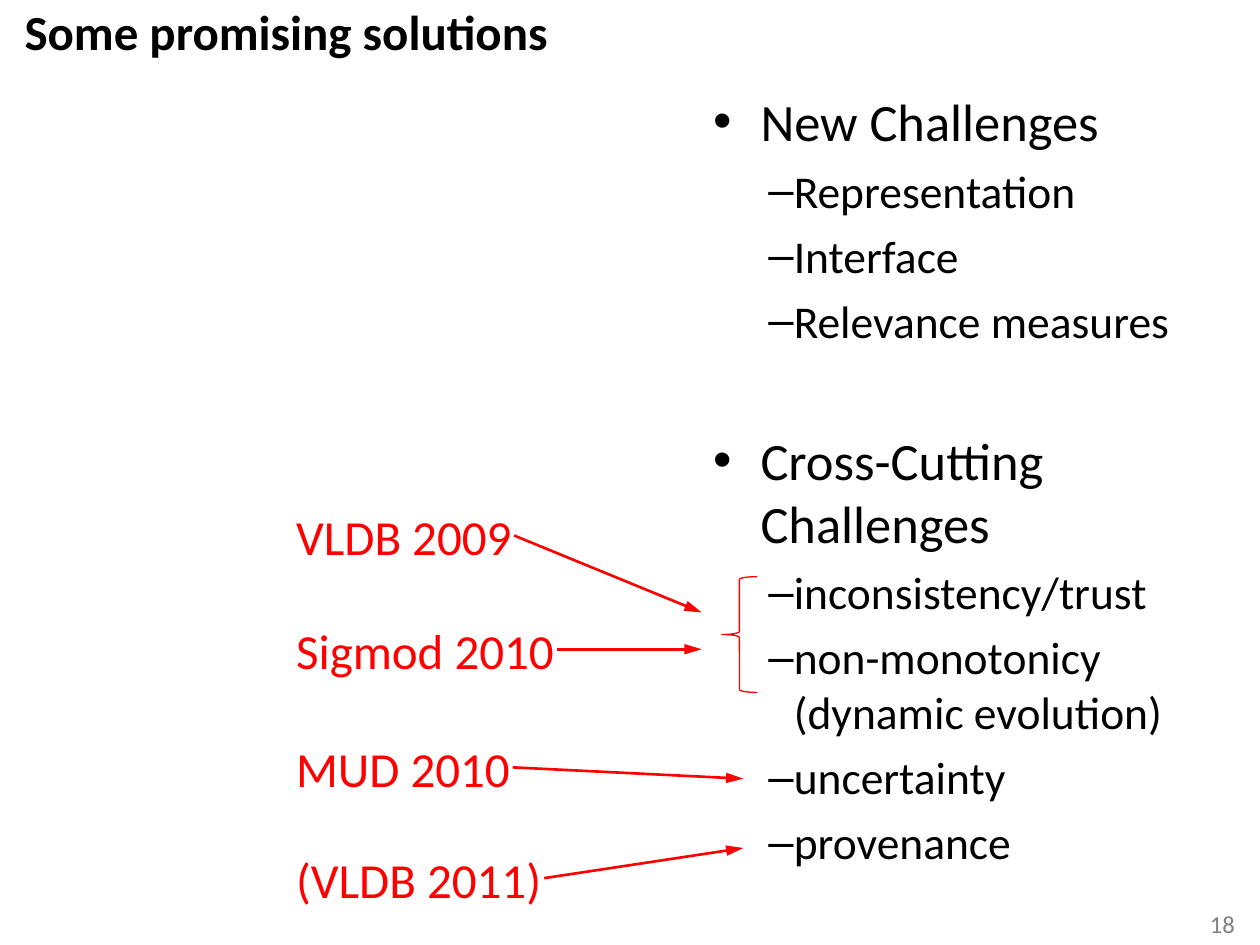
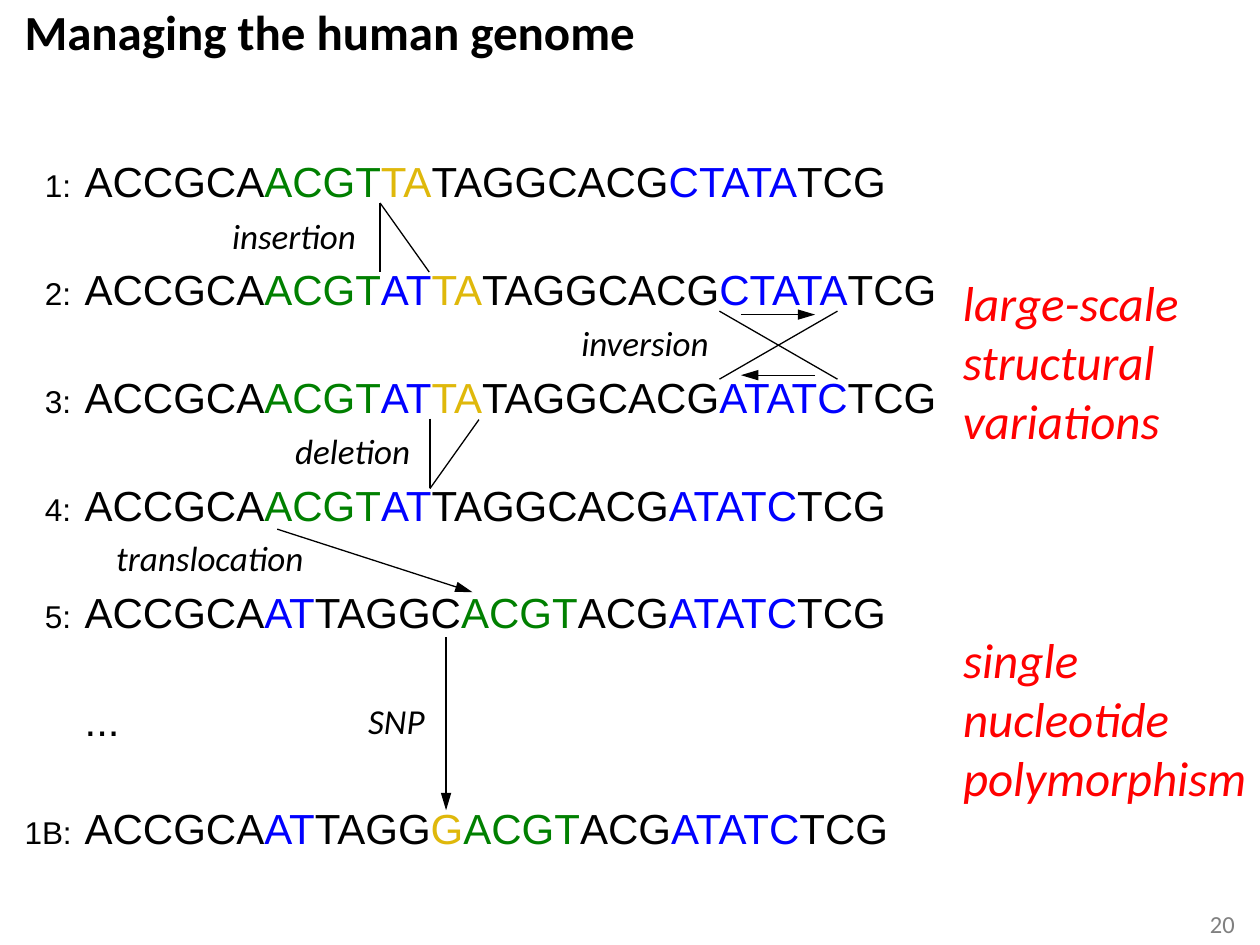
import pptx
import pptx.dml.color
import pptx.enum.shapes
import pptx.enum.text
import pptx.oxml.ns
import pptx.util
from lxml import etree

Pt = pptx.util.Pt
RGBColor = pptx.dml.color.RGBColor
PP_ALIGN = pptx.enum.text.PP_ALIGN
MSO_SHAPE = pptx.enum.shapes.MSO_SHAPE
qualified_name = pptx.oxml.ns.qn

BLACK = RGBColor(0x00, 0x00, 0x00)
WHITE = RGBColor(0xFF, 0xFF, 0xFF)
RED = RGBColor(0xFF, 0x00, 0x00)
GREEN = RGBColor(0x00, 0x80, 0x00)
BLUE = RGBColor(0x00, 0x00, 0xFF)
GOLD = RGBColor(0xDF, 0xB8, 0x0B)
GRAY = RGBColor(0x80, 0x80, 0x80)

TITLE_FONT = {"name": "Calibri", "size": Pt(28), "bold": True}
NUMBER_FONT = {"name": "Calibri", "size": Pt(14)}
VENUE_FONT = {"name": "Calibri", "size": Pt(28)}
CATEGORY_FONT = {"name": "Calibri", "size": Pt(28), "italic": True}
MUTATION_FONT = {"name": "Calibri", "size": Pt(20), "italic": True}
SEQUENCE_FONT = {"name": "Arial", "size": Pt(24)}
LABEL_FONT = {"name": "Arial", "size": Pt(18)}
TIGHT_FRAME = {
    "margin_left": 0, "margin_top": 0, "margin_right": 0, "margin_bottom": 0,
    "word_wrap": False,
    "auto_size": pptx.enum.text.MSO_AUTO_SIZE.NONE,
    "vertical_anchor": pptx.enum.text.MSO_ANCHOR.TOP,
}
LABEL_FRAME = {**TIGHT_FRAME, "margin_top": Pt(0.7)}

BULLET_LEVELS = {
    0: {"symbol": "•", "size": 30, "margin": 27, "hanging": 27},
    1: {"symbol": "–", "size": 26, "margin": 46, "hanging": 14.5},
}
CHALLENGES = [
    ("New Challenges", ["Representation", "Interface", "Relevance measures"]),
    ("Cross-Cutting Challenges", [
        "inconsistency/trust", "non-monotonicy (dynamic evolution)",
        "uncertainty", "provenance"]),
]
CHALLENGE_GAP = 40

VENUE_LEFT = 169.2
VENUES = [
    ("VLDB 2009", 288.7, 124.6, (293.8, 306), (401, 350)),
    ("Sigmod 2010", 353.7, 149, (318.2, 371), (401, 371)),
    ("MUD 2010", 421, 123.8, (293, 438.5), (424.8, 445)),
    ("(VLDB 2011)", 484.6, 141.8, (311, 501.8), (424.8, 484.6)),
]

ROW_TOP = 88.3
ROW_PITCH = 61.6
SEQUENCE_LEFT = 48.4
LABEL_RIGHT = 41.4
LABEL_DROP = 6

START = ("ACCGCA", BLACK)
MOVED = ("ACGT", GREEN)
INSERTED = ("AT", BLUE)
DELETED = ("TA", GOLD)
MIDDLE = ("TAGGCACG", BLACK)
FORWARD = ("CTATA", BLUE)
REVERSED = ("ATATC", BLUE)
END = ("TCG", BLACK)
SEQUENCES = [
    ("1:", 460, [START, MOVED, DELETED, MIDDLE, FORWARD, END]),
    ("2:", 487.4, [START, MOVED, INSERTED, DELETED, MIDDLE, FORWARD, END]),
    ("3:", 489.6, [START, MOVED, INSERTED, DELETED, MIDDLE, REVERSED, END]),
    ("4:", 461.5, [START, MOVED, INSERTED, MIDDLE, REVERSED, END]),
    ("5:", 461.5, [START, INSERTED, ("TAGGC", BLACK), MOVED, ("ACG", BLACK),
                   REVERSED, END]),
    ("", 20.9, [("...", BLACK)]),
    ("1B:", 463, [START, INSERTED, ("TAGG", BLACK), ("G", GOLD), MOVED,
                  ("ACG", BLACK), REVERSED, END]),
]
LABEL_WIDTHS = {2: 15.8, 3: 27.4}
MUTATIONS = [
    ("insertion", 132.6, 121.7, 77),
    ("inversion", 332.2, 183, 79.2),
    ("deletion", 168.7, 244.8, 71.3),
    ("translocation", 66.4, 306, 113),
    ("SNP", 210.4, 398.9, 38.2),
]
MUTATION_LINES = [
    ((217.2, 116), (217.2, 155.5)),
    ((217.2, 116), (245.3, 155.5)),
    ((411.1, 177.8), (478.6, 216.7)),
    ((478.6, 177.8), (411.1, 216.7)),
    ((245.7, 239.2), (245.7, 278.8)),
    ((273.7, 239.8), (245.7, 279.2)),
]
MUTATION_ARROWS = [
    ((423.4, 179.8), (465.8, 179.8)),
    ((465.8, 214.4), (423.4, 214.4)),
    ((158.4, 302.4), (270, 338.4)),
    ((254.9, 364.3), (254.9, 463)),
]
CATEGORIES = [
    (155, 132.5, ["large-scale", "structural", "variations"]),
    (359.2, 171.4, ["single", "nucleotide", "polymorphism"]),
]


def apply_format(target, values):
    for name, value in values.items():
        setattr(target, name, value)


def add_run(paragraph, text, font, colour):
    run = paragraph.add_run()
    run.text = text
    apply_format(run.font, font)
    run.font.color.rgb = colour


def add_label(slide, left, top, width, height, lines, font):
    label = slide.shapes.add_shape(
        MSO_SHAPE.LEFT_RIGHT_ARROW, Pt(left), Pt(top), Pt(width), Pt(height))
    label.adjustments[0] = 1
    label.adjustments[1] = 0
    label.shadow.inherit = False
    label.fill.background()
    label.line.fill.background()
    apply_format(label.text_frame, LABEL_FRAME)
    for index, runs in enumerate(lines):
        paragraph = (label.text_frame.add_paragraph() if index
                     else label.text_frame.paragraphs[0])
        paragraph.alignment = PP_ALIGN.LEFT
        for text, colour in runs:
            add_run(paragraph, text, font, colour)


def add_line(slide, start, end, colour, width, arrow=False):
    connector = slide.shapes.add_connector(
        pptx.enum.shapes.MSO_CONNECTOR.STRAIGHT, *map(Pt, start + end))
    connector.line.color.rgb = colour
    connector.line.width = Pt(width)
    if arrow:
        outline = connector.line._get_or_add_ln()
        etree.SubElement(outline, qualified_name("a:tailEnd"),
                         type="triangle", w="med", len="lg")
    etree.SubElement(connector._element.spPr, qualified_name("a:effectLst"))


def add_brace(slide, left, top, width, height):
    brace = slide.shapes.add_shape(
        MSO_SHAPE.LEFT_BRACE, Pt(left), Pt(top), Pt(width), Pt(height))
    brace.shadow.inherit = False
    brace.fill.solid()
    brace.fill.fore_color.rgb = WHITE
    brace.line.color.rgb = RED
    brace.line.width = Pt(0.75)


def add_bullet(paragraph, text, level):
    bullet = BULLET_LEVELS[level]
    paragraph.level = level
    paragraph.space_after = Pt(6)
    properties = paragraph._p.get_or_add_pPr()
    properties.set("marL", str(Pt(bullet["margin"])))
    properties.set("indent", str(-Pt(bullet["hanging"])))
    etree.SubElement(properties, qualified_name("a:buFont"), typeface="Arial")
    etree.SubElement(properties, qualified_name("a:buChar"), char=bullet["symbol"])
    add_run(paragraph, text, {"name": "Calibri", "size": Pt(bullet["size"])}, BLACK)


def add_challenges(slide, left, top, width, height):
    box = slide.shapes.add_textbox(Pt(left), Pt(top), Pt(width), Pt(height))
    frame = box.text_frame
    frame.word_wrap = True
    for index, (heading, items) in enumerate(CHALLENGES):
        paragraph = frame.add_paragraph() if index else frame.paragraphs[0]
        if index:
            paragraph.space_before = Pt(CHALLENGE_GAP)
        add_bullet(paragraph, heading, 0)
        for item in items:
            add_bullet(frame.add_paragraph(), item, 1)


def add_page_number(slide, number):
    box = slide.shapes.add_textbox(Pt(691.2), Pt(519.3), Pt(14.4), Pt(17))
    apply_format(box.text_frame, TIGHT_FRAME)
    paragraph = box.text_frame.paragraphs[0]
    paragraph.alignment = PP_ALIGN.RIGHT
    add_run(paragraph, number, NUMBER_FONT, GRAY)


def add_titled_slide(presentation, title, title_width, number):
    slide = presentation.slides.add_slide(presentation.slide_layouts[5])
    placeholder = slide.shapes.title
    apply_format(placeholder, {
        "left": Pt(14), "top": Pt(1), "width": Pt(title_width), "height": Pt(34)})
    apply_format(placeholder.text_frame, TIGHT_FRAME)
    paragraph = placeholder.text_frame.paragraphs[0]
    paragraph.alignment = PP_ALIGN.LEFT
    add_run(paragraph, title, TITLE_FONT, BLACK)
    add_page_number(slide, number)
    return slide


def add_solutions_slide(presentation):
    slide = add_titled_slide(presentation, "Some promising solutions", 302.4, "18")
    for venue, top, width, start, end in VENUES:
        add_label(slide, VENUE_LEFT, top, width, 34.6, [[(venue, RED)]], VENUE_FONT)
        add_line(slide, start, end, RED, 1.5, arrow=True)
    add_brace(slide, 412.4, 329.5, 20.2, 66.2)
    add_challenges(slide, 400.5, 47.4, 290.9, 335.5)


def add_genome_slide(presentation):
    slide = add_titled_slide(presentation, "Managing the human genome", 352.8, "20")
    for index, (label, width, segments) in enumerate(SEQUENCES):
        top = ROW_TOP + index * ROW_PITCH
        add_label(slide, SEQUENCE_LEFT, top, width, 29.5, [segments], SEQUENCE_FONT)
        if label:
            label_width = LABEL_WIDTHS[len(label)]
            add_label(slide, LABEL_RIGHT - label_width, top + LABEL_DROP,
                      label_width, 22.3, [[(label, BLACK)]], LABEL_FONT)
    for mutation, left, top, width in MUTATIONS:
        add_label(slide, left, top, width, 24.5, [[(mutation, BLACK)]], MUTATION_FONT)
    for start, end in MUTATION_LINES:
        add_line(slide, start, end, BLACK, 0.75)
    for start, end in MUTATION_ARROWS:
        add_line(slide, start, end, BLACK, 0.75, arrow=True)
    for top, width, lines in CATEGORIES:
        add_label(slide, 550.3, top, width, 102.2,
                  [[(line, RED)] for line in lines], CATEGORY_FONT)


def main():
    presentation = pptx.Presentation()
    presentation.slide_width = Pt(720)
    presentation.slide_height = Pt(540)
    add_solutions_slide(presentation)
    add_genome_slide(presentation)
    presentation.save("out.pptx")


if __name__ == "__main__":
    main()
